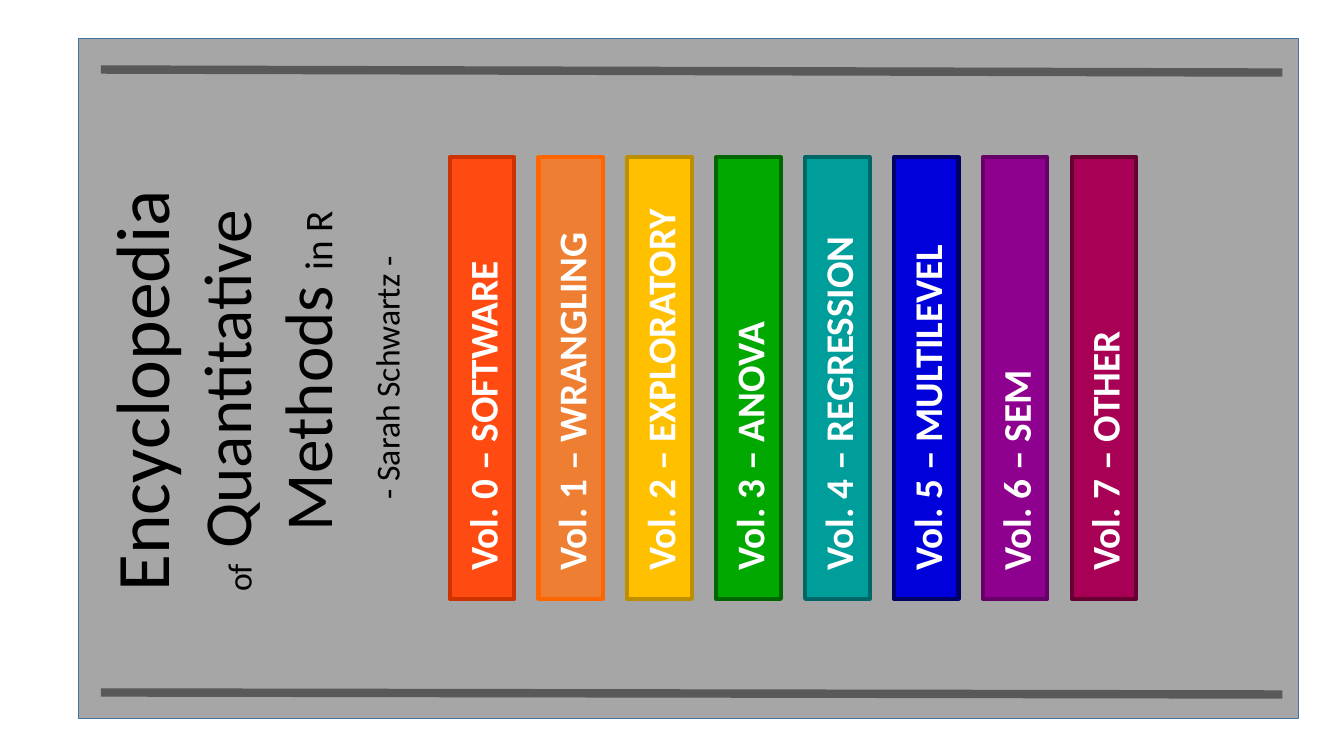
from lxml import etree
from pptx import Presentation
from pptx import util as u
from pptx.dml.color import RGBColor
from pptx.enum import shapes, text
from pptx.oxml import ns

WIDTH, HEIGHT = 13.33, 7.5
FONT = "Calibri"
BLACK = RGBColor(0x00, 0x00, 0x00)
WHITE = RGBColor(0xFF, 0xFF, 0xFF)
COVER_GREY = RGBColor(0xA6, 0xA6, 0xA6)
COVER_EDGE = RGBColor(0x43, 0x73, 0x9E)
BAND_GREY = RGBColor(0x59, 0x59, 0x59)

VOLUMES = [
    ("SOFTWARE", RGBColor(0xFF, 0x4A, 0x11), RGBColor(0xCC, 0x33, 0x00)),
    ("WRANGLING", RGBColor(0xEE, 0x7E, 0x32), RGBColor(0xFF, 0x66, 0x00)),
    ("EXPLORATORY", RGBColor(0xFF, 0xC0, 0x00), RGBColor(0xBD, 0x8E, 0x00)),
    ("ANOVA", RGBColor(0x00, 0xA8, 0x00), RGBColor(0x00, 0x66, 0x00)),
    ("REGRESSION", RGBColor(0x00, 0x9E, 0x9A), RGBColor(0x00, 0x66, 0x66)),
    ("MULTILEVEL", RGBColor(0x00, 0x00, 0xDA), RGBColor(0x00, 0x00, 0x66)),
    ("SEM", RGBColor(0x8E, 0x00, 0x8E), RGBColor(0x66, 0x00, 0x66)),
    ("OTHER", RGBColor(0xA8, 0x00, 0x54), RGBColor(0x66, 0x00, 0x33)),
]
TITLE_LINES = [
    (0, [("Encyclopedia", 54)]),
    (0, [("of", 24), (" Quantitative", 48)]),
    (0.6, [("Methods ", 48), ("in R", 28)]),
]


def apply(target, **formats):
    for name, value in formats.items():
        setattr(target, name, value)


def upright(box):
    left, top, width, height = box
    shift = (width - height) / 2
    return [u.Inches(v) for v in (left + shift, top - shift, height, width)]


def write(paragraph, words, size, color=BLACK, bold=False):
    run = paragraph.add_run()
    run.text = words
    apply(run.font, name=FONT, size=u.Pt(size), bold=bold)
    run.font.color.rgb = color


def paint(shape, fill, edge, weight):
    shape.shadow.inherit = False
    shape.fill.solid()
    shape.fill.fore_color.rgb = fill
    shape.line.color.rgb = edge
    shape.line.width = u.Pt(weight)


def add_cover(slide, box):
    cover = slide.shapes.add_shape(
        shapes.MSO_SHAPE.RECTANGLE, *[u.Inches(v) for v in box])
    paint(cover, COVER_GREY, COVER_EDGE, 1)
    left, top, width, height = box
    for start, end in ((0.31, 0.34), (6.49, 6.51)):
        band = slide.shapes.add_connector(
            shapes.MSO_CONNECTOR.STRAIGHT,
            u.Inches(left + 0.22), u.Inches(top + start),
            u.Inches(left + width - 0.16), u.Inches(top + end))
        band.line.color.rgb = BAND_GREY
        band.line.width = u.Pt(6)
        etree.SubElement(band._element.spPr, ns.qn("a:effectLst"))


def add_title(slide, box):
    title = slide.shapes.title
    slide.shapes._spTree.append(title._element)
    left, top, width, height = upright(box)
    apply(title, left=left, top=top, width=width, height=height, rotation=270)
    frame = title.text_frame
    apply(frame, auto_size=text.MSO_AUTO_SIZE.NONE, word_wrap=True,
          vertical_anchor=text.MSO_ANCHOR.TOP)
    for number, (indent, parts) in enumerate(TITLE_LINES):
        line = frame.add_paragraph() if number else frame.paragraphs[0]
        line.alignment = text.PP_ALIGN.LEFT
        line._p.get_or_add_pPr().set("marL", str(u.Inches(indent)))
        for words, size in parts:
            write(line, words, size)


def add_author(slide, box):
    author = slide.shapes.add_textbox(*upright(box))
    author.rotation = 270
    author.text_frame.word_wrap = True
    line = author.text_frame.paragraphs[0]
    line.alignment = text.PP_ALIGN.CENTER
    write(line, "- Sarah Schwartz -", 24)


def add_volumes(slide, box):
    left, top, width, height = box
    spine_width = 0.64
    pitch = (width - spine_width) / (len(VOLUMES) - 1)
    for number, (topic, fill, edge) in enumerate(VOLUMES):
        spine = slide.shapes.add_shape(
            shapes.MSO_SHAPE.RECTANGLE,
            *upright((left + number * pitch, top, spine_width, height)))
        spine.rotation = 270
        paint(spine, fill, edge, 3)
        apply(spine.text_frame, word_wrap=True, margin_left=u.Inches(0.28),
              vertical_anchor=text.MSO_ANCHOR.MIDDLE)
        line = spine.text_frame.paragraphs[0]
        line.alignment = text.PP_ALIGN.LEFT
        write(line, f"Vol. {number} – {topic}", 28, WHITE, True)


def main():
    deck = Presentation()
    apply(deck, slide_width=u.Inches(WIDTH), slide_height=u.Inches(HEIGHT))
    slide = deck.slides.add_slide(deck.slide_layouts.get_by_name("Title Only"))
    add_cover(slide, (0.78, 0.38, 12.1, 6.75))
    add_title(slide, (0.88, 1.72, 2.63, 4.25))
    add_author(slide, (3.58, 1.29, 0.5, 4.92))
    add_volumes(slide, (4.46, 1.56, 6.81, 4.38))
    deck.save("out.pptx")


if __name__ == "__main__":
    main()
